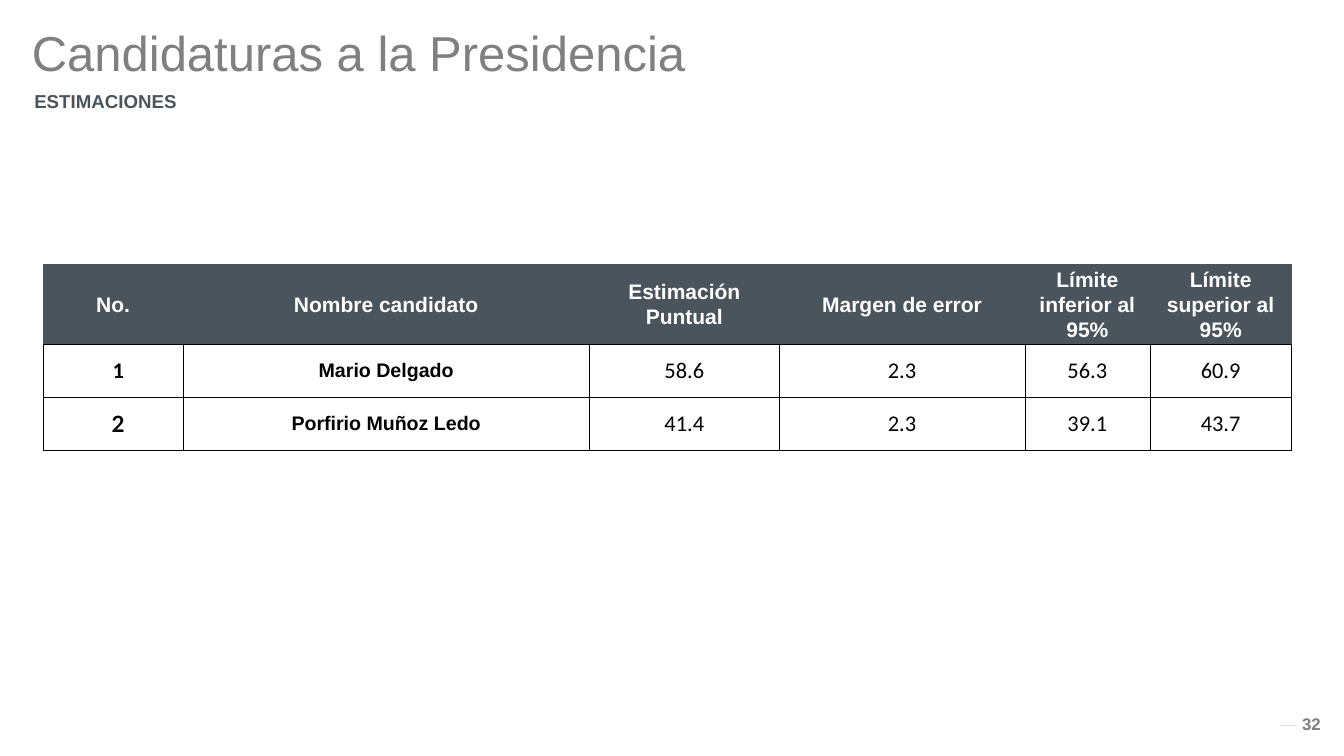
from dataclasses import dataclass

from lxml import etree
from pptx import Presentation
from pptx.dml.color import RGBColor
from pptx.enum import shapes, text
from pptx.oxml.ns import qn
from pptx.util import Inches, Pt


@dataclass(frozen=True)
class Theme:
    slate: str = "49545C"
    gray: str = "808080"
    rule: str = "404040"
    black: str = "000000"
    white: str = "FFFFFF"
    font: str = "Arial"
    number_font: str = "Calibri"
    rank_font: str = "Lato"
    title: float = 70
    subtitle: float = 26.7
    header: float = 30
    name: float = 28
    number: float = 32
    page: float = 24


THEME = Theme()
HEADERS = ["No.", "Nombre candidato", "Estimación Puntual", "Margen de error",
           "Límite inferior al 95%", "Límite superior al 95%"]
CANDIDATES = [
    ["1", "Mario Delgado", "58.6", "2.3", "56.3", "60.9"],
    ["2", "Porfirio Muñoz Ledo", "41.4", "2.3", "39.1", "43.7"],
]
COLUMN_WIDTHS = [2.77, 8.06, 3.77, 4.87, 2.48, 2.81]
HEADER_HEIGHT, ROW_HEIGHT = 1.58, 1.05


def style(p, size, color, font=THEME.font, bold=False, spacing=None):
    p.font.name = font
    p.font.size = Pt(size)
    p.font.bold = bold
    p.font.color.rgb = RGBColor.from_string(color)
    if spacing:
        p.line_spacing = spacing


def set_margins(target, margins):
    (target.margin_left, target.margin_top,
     target.margin_right, target.margin_bottom) = map(Inches, margins)


def add_text(s, box, words, margins, anchor=text.MSO_ANCHOR.TOP, **look):
    tf = s.shapes.add_textbox(*map(Inches, box)).text_frame
    tf.word_wrap = True
    tf.vertical_anchor = anchor
    set_margins(tf, margins)
    p = tf.paragraphs[0]
    p.text = words
    style(p, **look)


def add_heading(s, left, top):
    add_text(s, (left, top, 20.25, 1.05), "Candidaturas a la Presidencia",
             (0, 0.1, 0.2, 0.1), size=THEME.title, color=THEME.gray, spacing=0.9)
    add_text(s, (left + 0.05, top + 1.16, 7.97, 0.89), "ESTIMACIONES",
             (0, 0.21, 0, 0.21), size=THEME.subtitle, color=THEME.slate,
             bold=True, spacing=0.9)


def set_borders(cell, visible):
    tc_pr = cell._tc.get_or_add_tcPr()
    for i, side in enumerate("LRTB"):
        ln = etree.Element(qn(f"a:ln{side}"), w=str(Pt(1)))
        if side in visible:
            fill = etree.SubElement(ln, qn("a:solidFill"))
            etree.SubElement(fill, qn("a:srgbClr"), val=THEME.black)
        else:
            etree.SubElement(ln, qn("a:noFill"))
        tc_pr.insert(i, ln)


def fill_cell(cell, words, fill, margins, borders="LRTB", **look):
    cell.text = words
    cell.vertical_anchor = text.MSO_ANCHOR.MIDDLE
    set_margins(cell, margins)
    cell.fill.solid()
    cell.fill.fore_color.rgb = RGBColor.from_string(fill)
    set_borders(cell, borders)
    p = cell.text_frame.paragraphs[0]
    p.alignment = text.PP_ALIGN.CENTER
    style(p, **look)


def body_look(row, col):
    if col == 0:
        font = THEME.number_font if row == 1 else THEME.rank_font
        return dict(margins=(0.2, 0.1, 0, 0.1), size=THEME.number,
                    font=font, bold=True)
    if col == 1:
        return dict(margins=(0, 0, 0, 0), size=THEME.name, bold=True)
    return dict(margins=(0.01, 0.01, 0.01, 0), size=THEME.number,
                font=THEME.number_font)


def add_estimates(s, left, top):
    heights = [HEADER_HEIGHT] + [ROW_HEIGHT] * len(CANDIDATES)
    table = s.shapes.add_table(
        len(heights), len(HEADERS), Inches(left), Inches(top),
        Inches(sum(COLUMN_WIDTHS)), Inches(sum(heights))).table
    table.horz_banding = False
    for column, width in zip(table.columns, COLUMN_WIDTHS):
        column.width = Inches(width)
    for row, height in zip(table.rows, heights):
        row.height = Inches(height)
    for col, words in enumerate(HEADERS):
        fill_cell(table.cell(0, col), words, THEME.slate, (0.05, 0, 0.05, 0),
                  borders="B", size=THEME.header, color=THEME.white,
                  bold=True, spacing=1.07)
    for row, values in enumerate(CANDIDATES, 1):
        for col, words in enumerate(values):
            fill_cell(table.cell(row, col), words, THEME.white,
                      color=THEME.black, **body_look(row, col))


def add_page_number(s, left, top, width, height):
    y = Inches(top + 0.31)
    line = s.shapes.add_connector(shapes.MSO_CONNECTOR.STRAIGHT,
                                  Inches(left - 0.33), y, Inches(left), y)
    line.line.width = Pt(1)
    line.line.color.rgb = RGBColor.from_string(THEME.rule)
    sp_pr = line._element.spPr
    color = sp_pr.find(".//" + qn("a:srgbClr"))
    etree.SubElement(color, qn("a:alpha"), val="20000")
    etree.SubElement(sp_pr, qn("a:effectLst"))
    add_text(s, (left, top, width, height), "32", (0.1, 0.05, 0.1, 0.05),
             anchor=text.MSO_ANCHOR.MIDDLE, size=THEME.page,
             color=THEME.gray, bold=True)


def main():
    prs = Presentation()
    prs.slide_width, prs.slide_height = Inches(26.66), Inches(15)
    s = prs.slides.add_slide(prs.slide_layouts[6])
    add_heading(s, 0.63, 0.48)
    add_estimates(s, 0.86, 5.23)
    add_page_number(s, 25.73, 14.09, 0.65, 0.54)
    prs.save("out.pptx")


if __name__ == "__main__":
    main()
